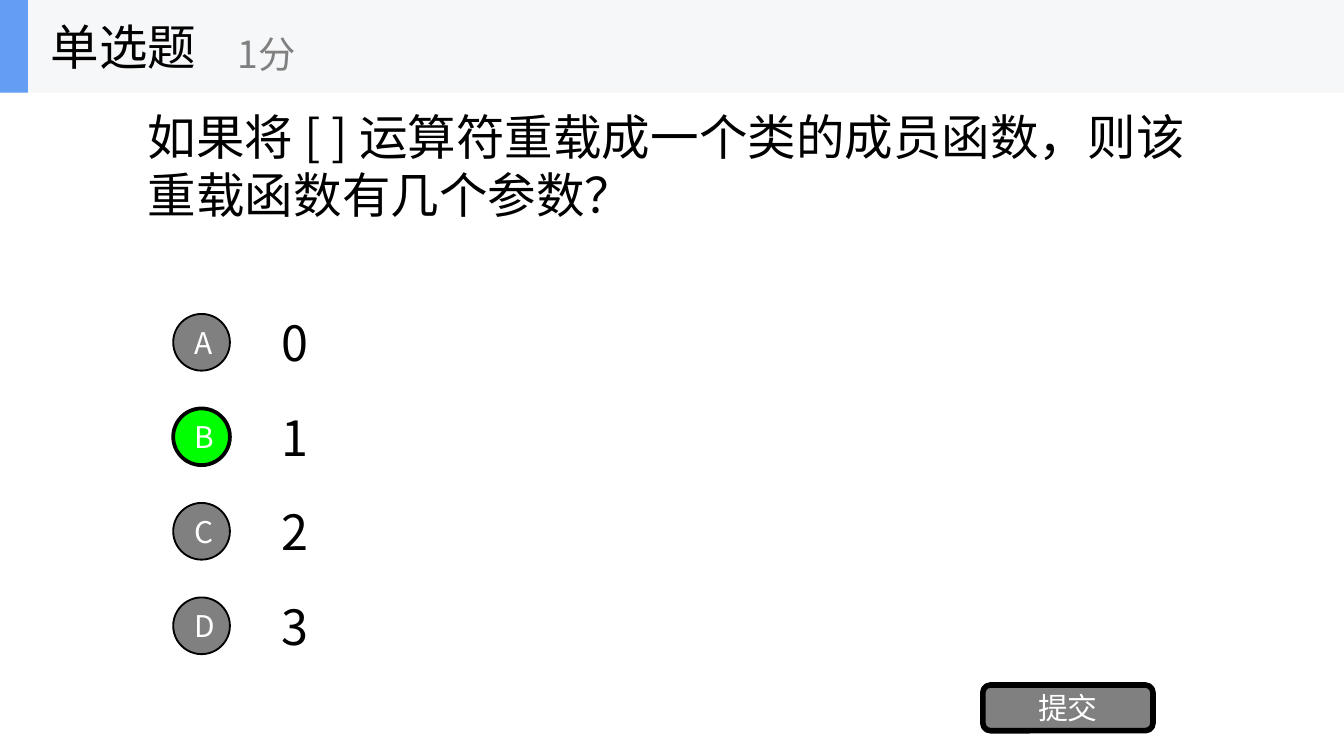
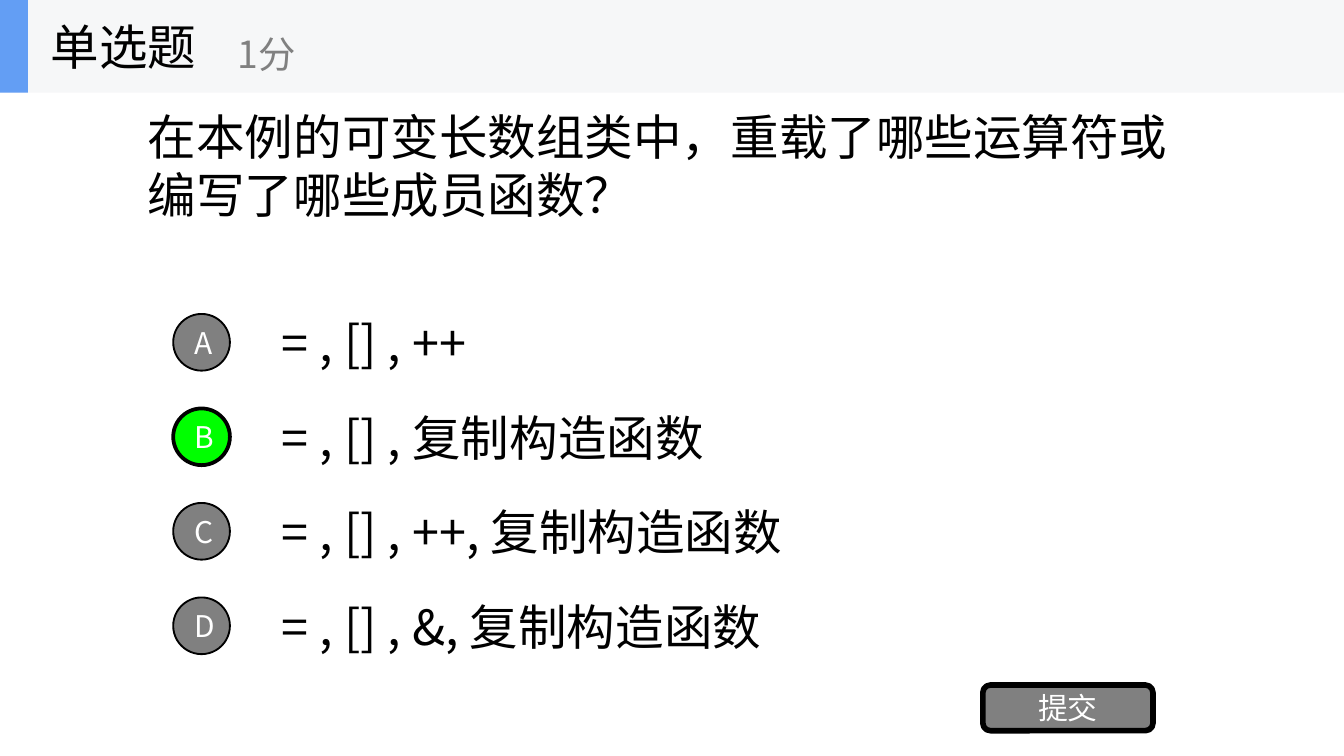
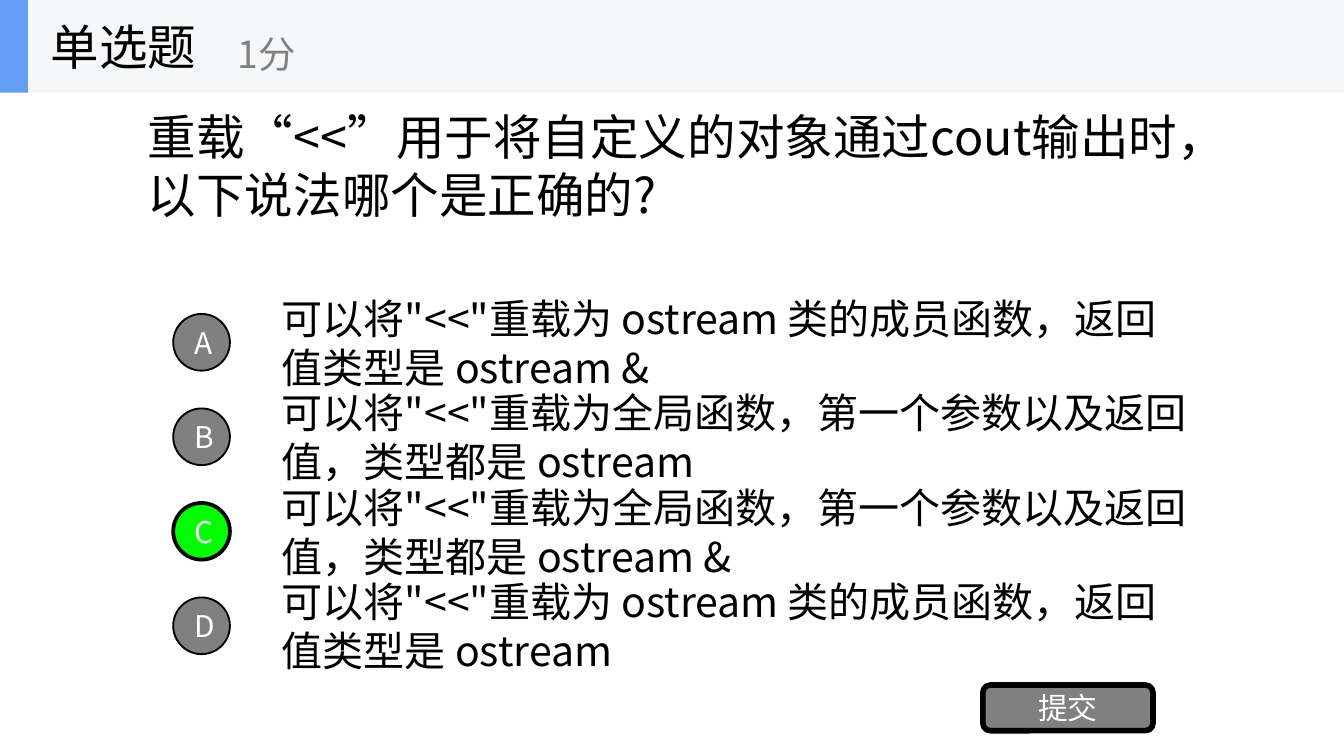
import dataclasses

import lxml.etree
import pptx
import pptx.dml.color
import pptx.enum.shapes
import pptx.enum.text
import pptx.oxml.ns
import pptx.util

Pt = pptx.util.Pt
RGB = pptx.dml.color.RGBColor.from_string
SHAPE = pptx.enum.shapes.MSO_SHAPE
ALIGN = pptx.enum.text.PP_ALIGN


@dataclasses.dataclass(frozen=True)
class Theme:
    font: str = "Noto Sans CJK SC"
    text: str = "000000"
    light: str = "FFFFFF"
    grey: str = "808080"
    correct: str = "00FF00"
    band: str = "F6F7F8"
    accent: str = "639EF4"
    heading_size: int = 26
    long_answer_size: int = 22
    points_size: int = 20
    button_size: int = 16


THEME = Theme()

QUESTIONS = [
    # question, answers, correct letter, answer size
    ("如果将 [ ] 运算符重载成一个类的成员函数，则该重载函数有几个参数？",
     ["0", "1", "2", "3"], "B", THEME.heading_size),
    ("在本例的可变长数组类中，重载了哪些运算符或编写了哪些成员函数？",
     ["= , [] , ++",
      "= , [] , 复制构造函数",
      "= , [] , ++, 复制构造函数",
      "= , [] , &, 复制构造函数"], "B", THEME.heading_size),
    ("重载“<<”用于将自定义的对象通过cout输出时，以下说法哪个是正确的?",
     ['可以将"<<"重载为 ostream 类的成员函数，返回值类型是 ostream &',
      '可以将"<<"重载为全局函数，第一个参数以及返回值，类型都是 ostream',
      '可以将"<<"重载为全局函数，第一个参数以及返回值，类型都是 ostream &',
      '可以将"<<"重载为 ostream 类的成员函数，返回值类型是 ostream'],
     "C", THEME.long_answer_size),
]

ANSWER_TOP, ANSWER_HEIGHT, ANSWER_STEP = 164.4, 38, 50.63
CIRCLE = 30.4
BAND_HEIGHT = 49.7


def write(sp, text, size=THEME.heading_size, color=THEME.text, align=ALIGN.LEFT):
    tf = sp.text_frame
    tf.word_wrap = True
    tf.auto_size = pptx.enum.text.MSO_AUTO_SIZE.NONE
    tf.vertical_anchor = pptx.enum.text.MSO_ANCHOR.MIDDLE
    p = tf.paragraphs[0]
    p.alignment = align
    r = p.add_run()
    r.text = text
    r.font.size = Pt(size)
    r.font.color.rgb = RGB(color)
    r.font.name = THEME.font
    # East Asian text takes its font from a:ea
    ea = lxml.etree.SubElement(r._r.get_or_add_rPr(), pptx.oxml.ns.qn("a:ea"))
    ea.set("typeface", THEME.font)


def add_filled(shapes, kind, box, fill, line_width=0):
    sp = shapes.add_shape(kind, *map(Pt, box))
    sp.shadow.inherit = False
    sp.fill.solid()
    sp.fill.fore_color.rgb = RGB(fill)
    if line_width:
        sp.line.color.rgb = RGB(THEME.text)
        sp.line.width = Pt(line_width)
    else:
        sp.line.fill.background()
    return sp


prs = pptx.Presentation()
prs.slide_width, prs.slide_height = Pt(720), Pt(405)

for question, answers, correct, answer_size in QUESTIONS:
    s = prs.slides.add_slide(prs.slide_layouts[5])
    title = s.shapes.title
    title.left, title.top, title.width, title.height = map(Pt, (72, 25.3, 576, 126.6))
    write(title, question)

    for i, answer in enumerate(answers):
        sp = s.shapes.add_textbox(
            *map(Pt, (144, ANSWER_TOP + i * ANSWER_STEP, 504, ANSWER_HEIGHT)))
        write(sp, answer, size=answer_size)

    for i, letter in enumerate("ABCD"):
        top = ANSWER_TOP + i * ANSWER_STEP + (ANSWER_HEIGHT - CIRCLE) / 2
        fill, line_width = (THEME.correct, 2) if letter == correct else (THEME.grey, 1)
        sp = add_filled(s.shapes, SHAPE.OVAL, (92.8, top, CIRCLE, CIRCLE), fill, line_width)
        write(sp, letter, size=THEME.button_size, color=THEME.light, align=ALIGN.CENTER)

    button = add_filled(s.shapes, SHAPE.ROUNDED_RECTANGLE, (526.5, 367, 91.2, 24.5),
                        THEME.grey, 3)
    write(button, "提交", size=THEME.button_size, color=THEME.light, align=ALIGN.CENTER)

    header = s.shapes.add_group_shape().shapes
    add_filled(header, SHAPE.RECTANGLE, (0, 0, 720, BAND_HEIGHT), THEME.band)
    add_filled(header, SHAPE.RECTANGLE, (0, 0, 15, BAND_HEIGHT), THEME.accent)
    write(header.add_textbox(*map(Pt, (20.2, 0, 150, BAND_HEIGHT))), "单选题")
    write(header.add_textbox(*map(Pt, (120.2, 8.6, 180, 40.3))), "1分",
          size=THEME.points_size, color=THEME.grey)

prs.save("out.pptx")
